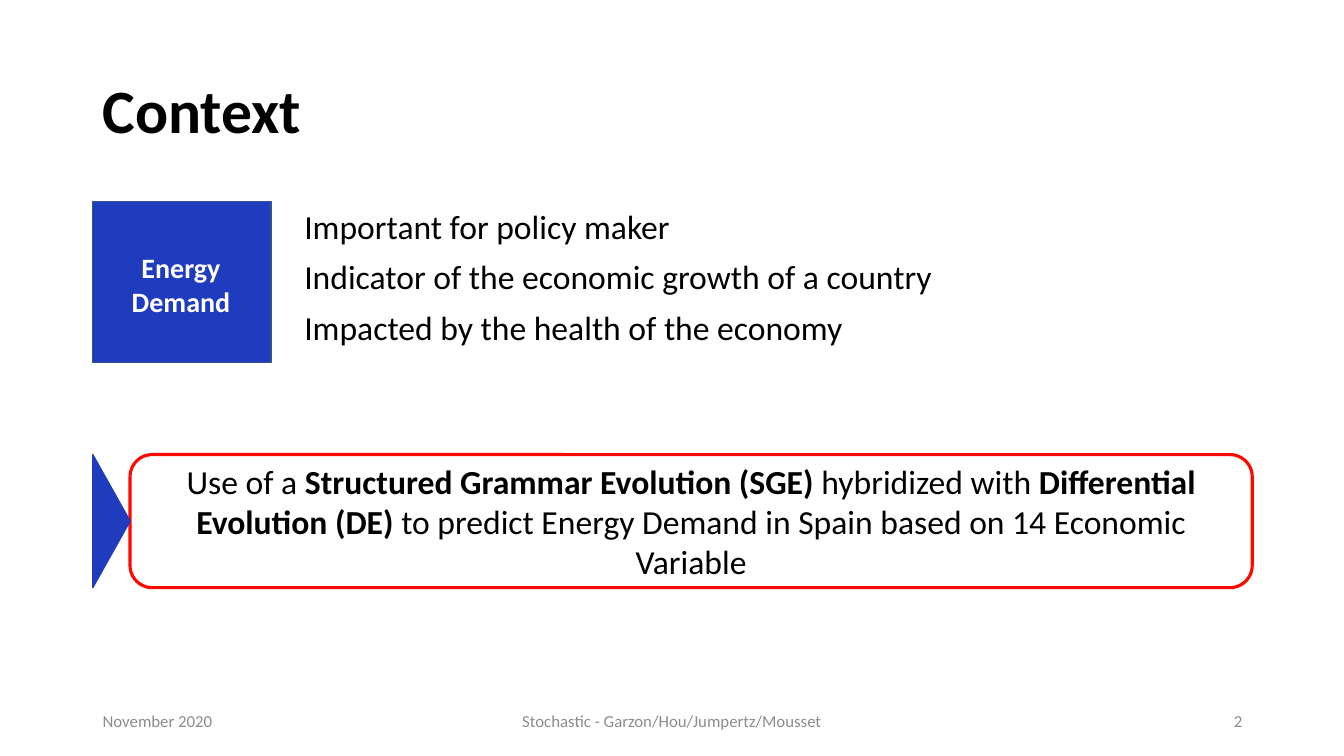
from pptx import Presentation
from pptx.dml.color import RGBColor
from pptx.enum.shapes import MSO_SHAPE as Shape
from pptx.enum.text import MSO_ANCHOR as Anchor, PP_ALIGN as Align
from pptx.util import Inches, Pt

WIDTH, HEIGHT = 13.33, 7.5
LEFT, CONTENT = 0.92, 11.5
RIGHT = LEFT + CONTENT
BLUE, BLACK, WHITE, GREY = "1F3CBF", "000000", "FFFFFF", "8C8C8C"

deck = Presentation()
deck.slide_width, deck.slide_height = Inches(WIDTH), Inches(HEIGHT)
page = deck.slides.add_slide(deck.slide_layouts[6])


def add_box(area, fill=None, line=None, weight=1, preset=None):
    place = [Inches(length) for length in area]
    if preset is None:
        box = page.shapes.add_textbox(*place)
    else:
        box = page.shapes.add_shape(preset, *place)
        box.shadow.inherit = False
        box.fill.solid()
        box.fill.fore_color.rgb = RGBColor.from_string(fill)
        box.line.color.rgb = RGBColor.from_string(line)
        box.line.width = Pt(weight)
    box.text_frame.word_wrap = True
    return box


def write(box, paragraphs, color=BLACK, align=Align.LEFT, anchor=Anchor.MIDDLE,
          spacing=1.0, before=0):
    frame = box.text_frame
    frame.vertical_anchor = anchor
    for index, runs in enumerate(paragraphs):
        para = frame.add_paragraph() if index else frame.paragraphs[0]
        para.alignment, para.line_spacing = align, spacing
        para.space_before = Pt(before)
        for text, size, bold in runs:
            span = para.add_run()
            span.text = text
            span.font.name, span.font.size, span.font.bold = "Calibri", Pt(size), bold
            span.font.color.rgb = RGBColor.from_string(color)


title = add_box((LEFT, 0.4, CONTENT, 1.45))
write(title, [[("Context", 44, True)]], spacing=0.9)

points = ["Important for policy maker",
          "Indicator of the economic growth of a country",
          "Impacted by the health of the economy"]
body = add_box((LEFT + 2, 2.04, CONTENT - 2, 1.56))
write(body, [[(point, 24, False)] for point in points],
      anchor=Anchor.TOP, spacing=0.9, before=10)

footers = [("November 2020", LEFT, 3, Align.LEFT),
           ("Stochastic - Garzon/Hou/Jumpertz/Mousset", (WIDTH - 4.5) / 2, 4.5, Align.CENTER),
           ("2", RIGHT - 3, 3, Align.RIGHT)]
for text, left, width, align in footers:
    footer = add_box((left, 6.95, width, 0.4))
    write(footer, [[(text, 12, False)]], GREY, align)

add_box((LEFT, 2, 1.77, 1.6), BLUE, "325491", 1, Shape.RECTANGLE)
topic = add_box((LEFT, 2.44, 1.75, 0.77))
write(topic, [[("Energy", 20, True), (" ", 18, True), ("Demand", 20, True)]],
      WHITE, Align.CENTER, Anchor.TOP)

method_top, method_height, arrow_depth = 4.51, 1.32, 0.37
method = add_box((LEFT + arrow_depth, method_top, CONTENT - arrow_depth, method_height),
                 WHITE, "FF0800", 2.25, Shape.ROUNDED_RECTANGLE)
write(method, [[("Use of a ", 24, False),
                ("Structured Grammar Evolution (SGE) ", 24, True),
                ("hybridized with ", 24, False),
                ("Differential Evolution (DE)", 24, True),
                (" to predict Energy Demand in Spain based on 14 Economic Variable", 24, False)]],
      align=Align.CENTER)

turn = (method_height - arrow_depth) / 2
arrow = add_box((LEFT - turn, method_top + turn, method_height, arrow_depth),
                BLUE, BLUE, 1, Shape.ISOSCELES_TRIANGLE)
arrow.rotation = 90

deck.save("out.pptx")
